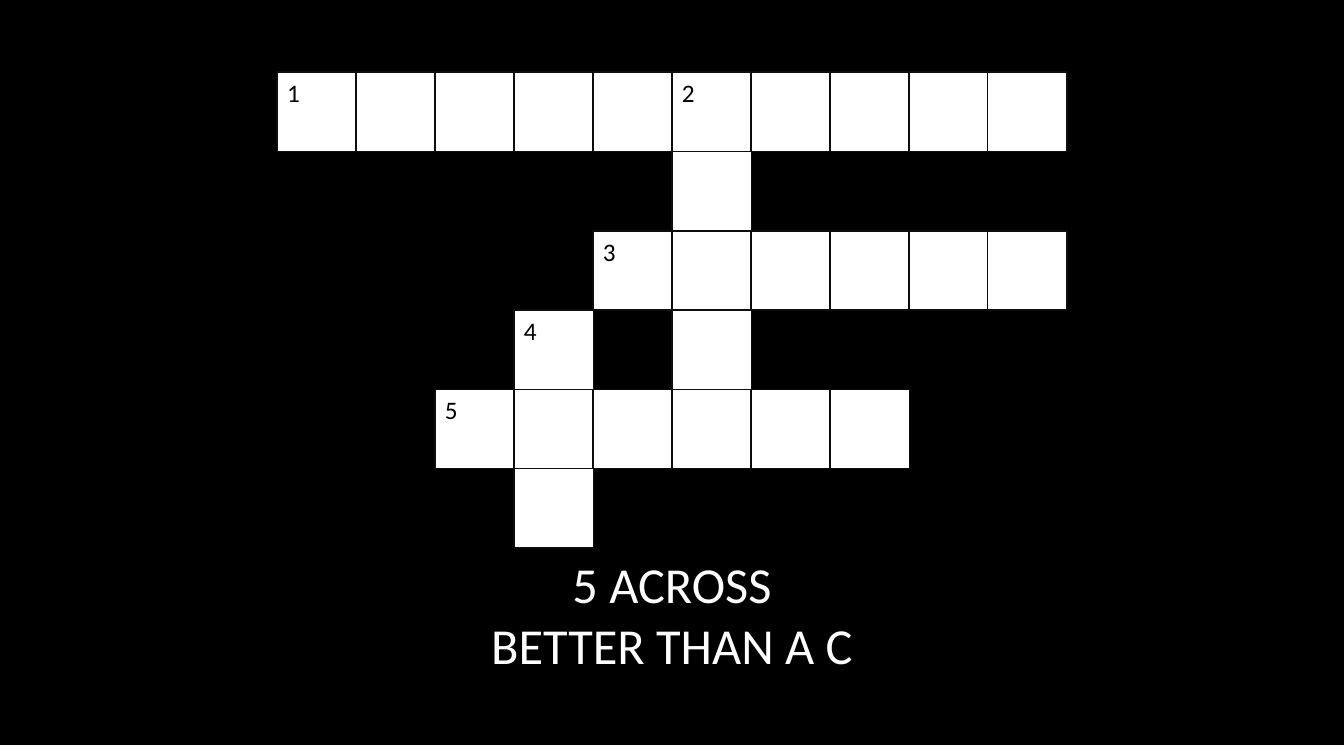
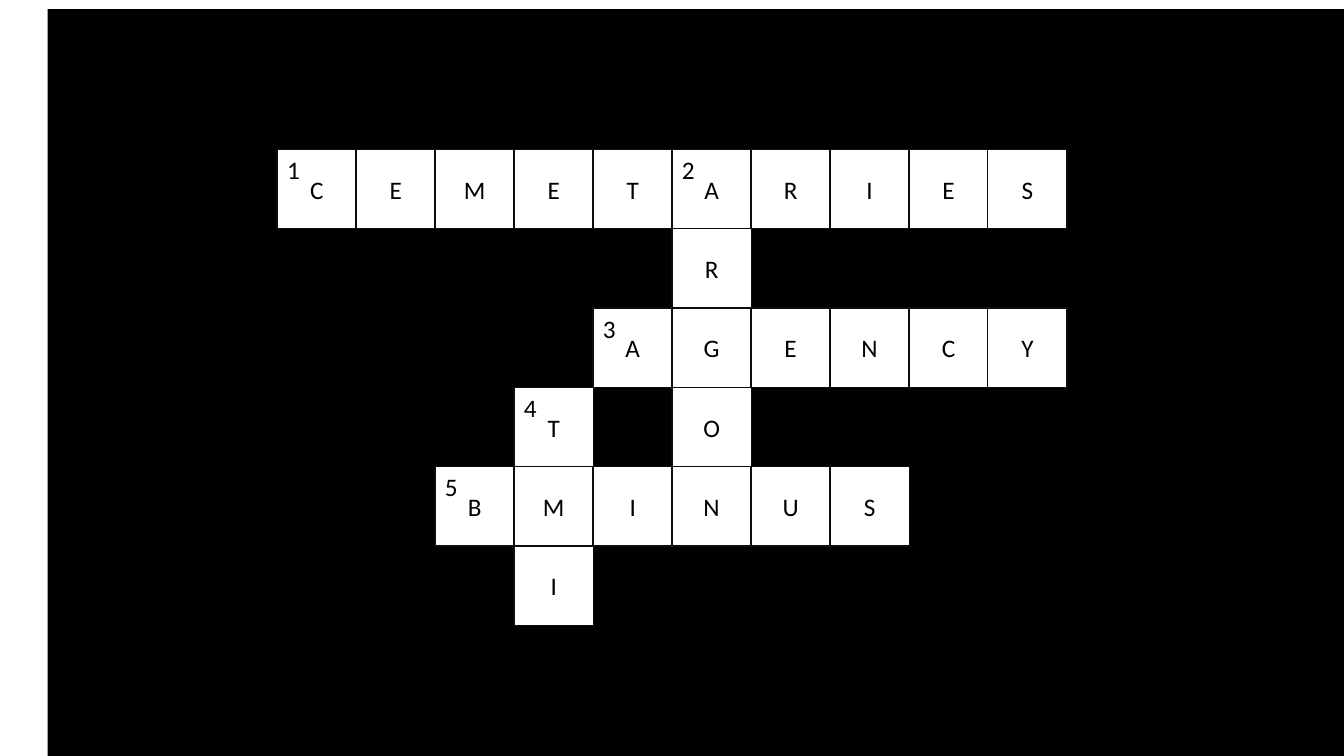
from pptx import Presentation
from pptx.dml.color import RGBColor
from pptx.enum.shapes import MSO_SHAPE
from pptx.enum.text import MSO_ANCHOR, PP_ALIGN
from pptx.util import Pt

RECT = MSO_SHAPE.RECTANGLE
MID, TOP = MSO_ANCHOR.MIDDLE, MSO_ANCHOR.TOP
LEFT, CENTER = PP_ALIGN.LEFT, PP_ALIGN.CENTER

HEX = {"black": "000000", "white": "FFFFFF", "edge": "0D0D0D"}
COLOR = {name: RGBColor.from_string(code) for name, code in HEX.items()}
FONT = "Calibri"
WIDE, HIGH = 960, 540

# Crossword: a dot is a blocked square
GRID = [
    "CEMETARIES",
    ".....R....",
    "....AGENCY",
    "...T.O....",
    "..BMINUS..",
    "...I......",
]
CLUES = {(0, 0): "1", (0, 5): "2", (2, 4): "3", (3, 3): "4", (4, 2): "5"}
GRID_X, STEP_X, STEP_Y, CELL = 198, 56.4, 56.65, 56.7

SLIDES = [
    {"panel": (0, -7.9), "top": 51.6, "solved": False,
     "clue": ["5 ACROSS", "BETTER THAN A C"]},
    {"panel": (34, 6.5), "top": 106.7, "solved": True, "clue": []},
]


def add_rect(shapes, x, y, w, h, fill, line=None):
    box = shapes.add_shape(RECT, Pt(x), Pt(y), Pt(w), Pt(h))
    box.shadow.inherit = False
    box.fill.solid()
    box.fill.fore_color.rgb = COLOR[fill]
    if line:
        box.line.color.rgb = COLOR[line]
        box.line.width = Pt(1)
    else:
        box.line.fill.background()
    return box


def set_text(box, lines, size, color, align, anchor):
    frame = box.text_frame
    frame.word_wrap = True
    frame.vertical_anchor = anchor
    frame.text = "\n".join(lines)
    look = {"name": FONT, "size": Pt(size)}
    for para in frame.paragraphs:
        para.alignment = align
        for run in para.runs:
            for key, value in look.items():
                setattr(run.font, key, value)
            run.font.color.rgb = COLOR[color]


prs = Presentation()
prs.slide_width, prs.slide_height = Pt(WIDE), Pt(HIGH)
blank = prs.slide_layouts[6]

for page in SLIDES:
    shapes = prs.slides.add_slide(blank).shapes
    add_rect(shapes, *page["panel"], WIDE, HIGH, "black")

    if page["clue"]:
        box = shapes.add_textbox(Pt(20), Pt(391.7), Pt(920), Pt(94.5))
        set_text(box, page["clue"], 36, "white", CENTER, TOP)

    puzzle = shapes.add_group_shape().shapes
    for row, word in enumerate(GRID):
        for col, letter in enumerate(word):
            if letter == ".":
                continue
            x = GRID_X + col * STEP_X
            y = page["top"] + row * STEP_Y
            cell = add_rect(puzzle, x, y, CELL, CELL, "white", "edge")
            if page["solved"]:
                set_text(cell, [letter], 18, "black", CENTER, MID)

    for (row, col), number in CLUES.items():
        x = GRID_X + col * STEP_X
        y = page["top"] + row * STEP_Y
        tag = puzzle.add_textbox(Pt(x), Pt(y), Pt(25), Pt(29))
        set_text(tag, [number], 18, "black", LEFT, TOP)

prs.save("out.pptx")
